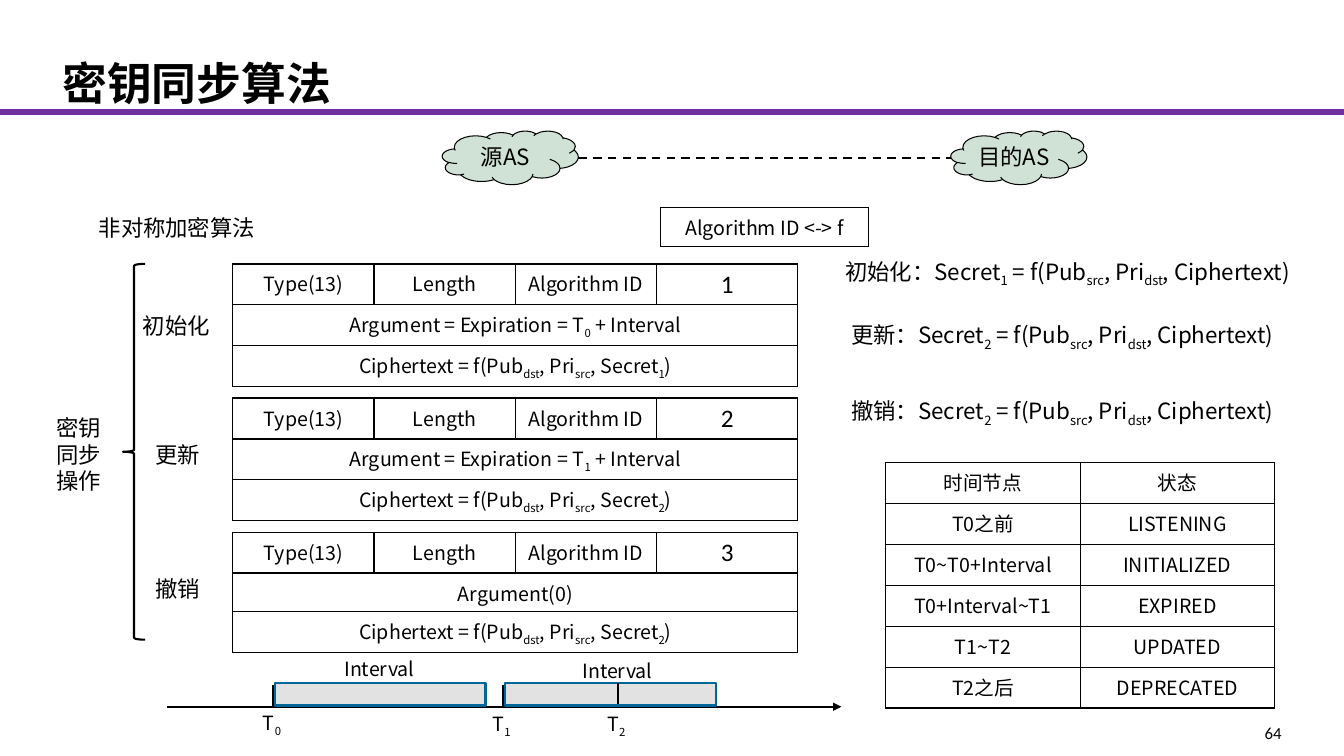
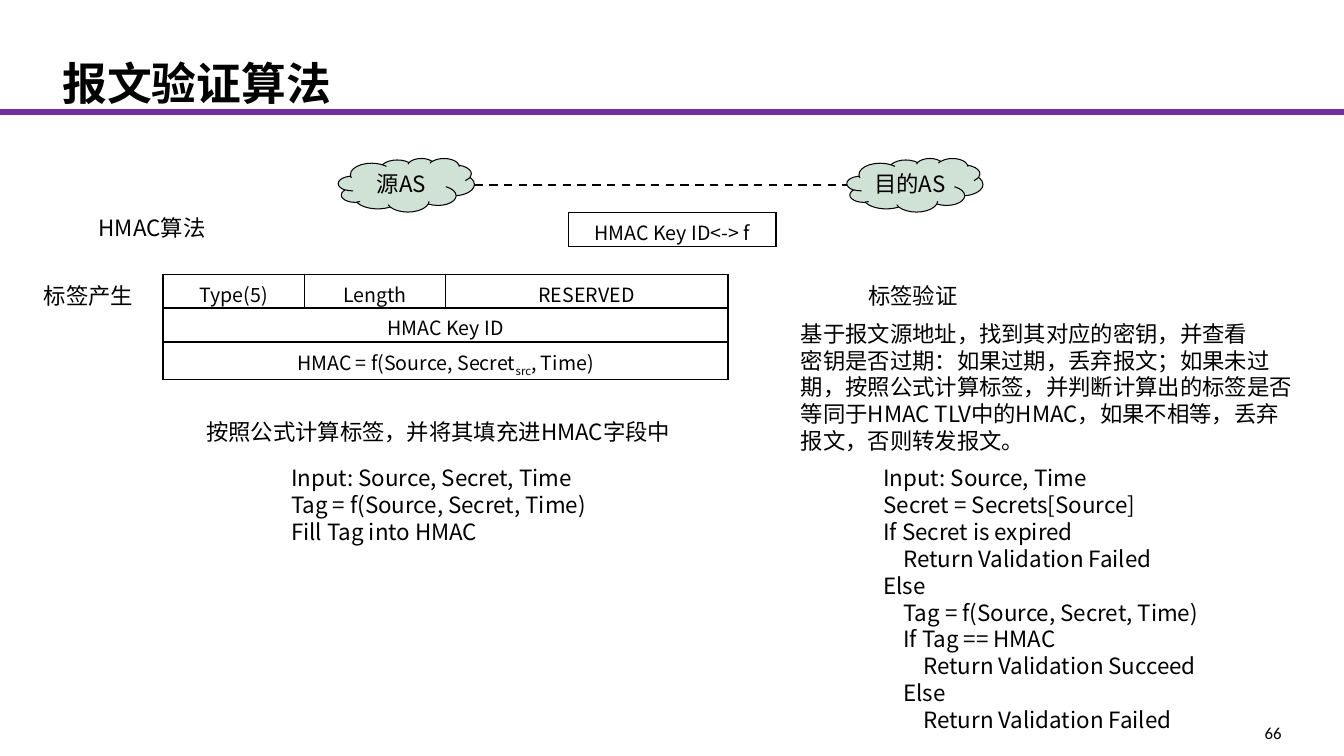
from dataclasses import dataclass

from lxml.etree import SubElement
from pptx import Presentation
from pptx.dml.color import RGBColor
from pptx.enum.dml import MSO_LINE
from pptx.enum.shapes import MSO_CONNECTOR, MSO_SHAPE
from pptx.enum.text import MSO_ANCHOR, PP_ALIGN
from pptx.oxml.ns import qn
from pptx.util import Cm, Pt

COLOURS = {
    "text": "000000",
    "rule": "7030A0",
    "cloud": "D0E2D5",
    "cell": "FFFFFF",
    "interval": "E2E2E2",
    "interval_edge": "006699",
}
BODY_FONT = "Noto Sans CJK SC"
NUMBER_FONT = "Calibri"
LINE_FACTOR = 1.2
SLIDE_WIDTH, SLIDE_HEIGHT = 33.88, 19.05
CLOUD_WIDTH, CLOUD_HEIGHT, CLOUD_STEP = 3.43, 1.35, 12.82
FIELD_WIDTH = 3.56
ROW_HEIGHT = 1.03


@dataclass
class Label:
    left: float
    top: float
    width: float
    text: str
    size: int = 16


@dataclass
class Grid:
    left: float
    top: float
    columns: list[float]
    heights: list[float]
    rows: list[list[str]]


@dataclass
class Stroke:
    start: tuple[float, float]
    end: tuple[float, float]
    width: float = 1.5
    colour: str = "text"
    dashed: bool = False
    arrow: bool = False
    shadow: bool = False


def colour(name: str) -> RGBColor:
    return RGBColor.from_string(COLOURS[name])


def write_paragraph(paragraph, text: str, size: float, font: str = BODY_FONT,
                    bold: bool = False, alignment=PP_ALIGN.LEFT) -> None:
    for index, part in enumerate(text.split("|")):
        if part:
            run = paragraph.add_run()
            run.text = part
            if index % 2:
                run._r.get_or_add_rPr().set("baseline", "-25000")
    paragraph.alignment = alignment
    paragraph.font.size = Pt(size)
    paragraph.font.bold = bold
    paragraph.font.name = font
    paragraph.font.color.rgb = colour("text")
    SubElement(paragraph.font._element, qn("a:ea")).set("typeface", font)


def set_insets(frame, left: float, top: float, right: float, bottom: float) -> None:
    frame.margin_left, frame.margin_top = Cm(left), Cm(top)
    frame.margin_right, frame.margin_bottom = Cm(right), Cm(bottom)


def draw_label(slide, label: Label) -> None:
    lines = label.text.split("\n")
    line_height = Pt(label.size * LINE_FACTOR)
    box = slide.shapes.add_textbox(Cm(label.left), Cm(label.top), Cm(label.width),
                                   line_height * len(lines) + Cm(0.25))
    frame = box.text_frame
    frame.word_wrap = False
    set_insets(frame, 0.25, 0.19, 0.25, 0.06)
    for index, line in enumerate(lines):
        paragraph = frame.add_paragraph() if index else frame.paragraphs[0]
        write_paragraph(paragraph, line, label.size)
        paragraph.line_spacing = line_height


def draw_stroke(slide, stroke: Stroke) -> None:
    connector = slide.shapes.add_connector(
        MSO_CONNECTOR.STRAIGHT, *(Cm(value) for value in stroke.start + stroke.end))
    connector.line.color.rgb = colour(stroke.colour)
    connector.line.width = Pt(stroke.width)
    if stroke.dashed:
        connector.line.dash_style = MSO_LINE.DASH
    if stroke.arrow:
        SubElement(connector.line._get_or_add_ln(), qn("a:tailEnd")).set("type", "triangle")
    effects = SubElement(connector._element.spPr, qn("a:effectLst"))
    if stroke.shadow:
        shadow = SubElement(effects, qn("a:outerShdw"), dist=str(Pt(2)), dir="5400000")
        SubElement(shadow, qn("a:srgbClr")).set("val", COLOURS[stroke.colour])


def draw_shape(slide, kind, left: float, top: float, width: float, height: float,
               fill: str, edge: str = "text", weight: float = 1.5):
    shape = slide.shapes.add_shape(kind, Cm(left), Cm(top), Cm(width), Cm(height))
    shape.shadow.inherit = False
    shape.fill.solid()
    shape.fill.fore_color.rgb = colour(fill)
    shape.line.color.rgb = colour(edge)
    shape.line.width = Pt(weight)
    return shape


def draw_cell(cell, text: str) -> None:
    properties = cell._tc.get_or_add_tcPr()
    for side in ("lnL", "lnR", "lnT", "lnB"):
        border = SubElement(properties, qn(f"a:{side}"), w=str(Pt(1)))
        fill = SubElement(border, qn("a:solidFill"))
        SubElement(fill, qn("a:srgbClr")).set("val", COLOURS["text"])
    cell.fill.solid()
    cell.fill.fore_color.rgb = colour("cell")
    set_insets(cell, 0.25, 0.13, 0.25, 0)
    size, font = (18, NUMBER_FONT) if text.isdigit() else (14, BODY_FONT)
    write_paragraph(cell.text_frame.paragraphs[0], text, size, font,
                    alignment=PP_ALIGN.CENTER)


def draw_grid(slide, grid: Grid) -> None:
    column_count = len(grid.columns)
    table = slide.shapes.add_table(
        len(grid.rows), column_count, Cm(grid.left), Cm(grid.top),
        Cm(sum(grid.columns)), Cm(sum(grid.heights))).table
    table.first_row = table.horz_banding = False
    for column, width in zip(table.columns, grid.columns):
        column.width = Cm(width)
    for row_index, (texts, height) in enumerate(zip(grid.rows, grid.heights)):
        table.rows[row_index].height = Cm(height)
        for column_index in range(column_count):
            text = texts[column_index] if column_index < len(texts) else ""
            draw_cell(table.cell(row_index, column_index), text)
        if len(texts) < column_count:
            table.cell(row_index, 0).merge(table.cell(row_index, column_count - 1))


def draw_route(slide, left: float, top: float) -> None:
    for index, name in enumerate(("源AS", "目的AS")):
        cloud = draw_shape(slide, MSO_SHAPE.CLOUD, left + index * CLOUD_STEP, top,
                           CLOUD_WIDTH, CLOUD_HEIGHT, "cloud", weight=0.75)
        frame = cloud.text_frame
        frame.word_wrap = False
        frame.vertical_anchor = MSO_ANCHOR.MIDDLE
        write_paragraph(frame.paragraphs[0], name, 16, alignment=PP_ALIGN.CENTER)
    middle = top + CLOUD_HEIGHT / 2
    draw_stroke(slide, Stroke((left + CLOUD_WIDTH, middle), (left + CLOUD_STEP, middle),
                              dashed=True))


def add_page(presentation, title: str, number: str):
    slide = presentation.slides.add_slide(presentation.slide_layouts[6])
    draw_stroke(slide, Stroke((SLIDE_WIDTH, 2.79), (0, 2.79), 2.25, "rule", shadow=True))
    title_frame = slide.shapes.add_textbox(Cm(1.57), Cm(0.46), Cm(30.76), Cm(2.31)).text_frame
    title_frame.word_wrap = True
    title_frame.vertical_anchor = MSO_ANCHOR.BOTTOM
    set_insets(title_frame, 0, 0.13, 0, 0.02)
    write_paragraph(title_frame.paragraphs[0], title, 32, bold=True)
    number_frame = slide.shapes.add_textbox(Cm(31.65), Cm(18.21), Cm(0.66), Cm(0.38)).text_frame
    number_frame.word_wrap = False
    set_insets(number_frame, 0, 0, 0, 0)
    write_paragraph(number_frame.paragraphs[0], number, 12, NUMBER_FONT,
                    alignment=PP_ALIGN.RIGHT)
    return slide


def draw_timeline(slide) -> None:
    axis = 17.81
    draw_stroke(slide, Stroke((4.22, axis), (21.21, axis), arrow=True))
    for tick in (6.88, 12.67):
        draw_stroke(slide, Stroke((tick, 17.27), (tick, axis)))
    for left in (6.93, 12.73):
        draw_shape(slide, MSO_SHAPE.RECTANGLE, left, 17.22, 5.31, 0.56,
                   "interval", "interval_edge")
    draw_stroke(slide, Stroke((15.57, 17.22), (15.57, 17.75)))


def build_key_sync(presentation) -> None:
    slide = add_page(presentation, "密钥同步算法", "64")
    draw_route(slide, 11.15, 3.3)
    draw_grid(slide, Grid(16.66, 5.23, [5.23], [0.98], [["Algorithm ID <-> f"]]))
    messages = [
        ("Argument = Expiration = T|0| + Interval", "1", ROW_HEIGHT),
        ("Argument = Expiration = T|1| + Interval", "2", ROW_HEIGHT),
        ("Argument(0)", "2", 0.97),
    ]
    for index, (argument, secret, argument_height) in enumerate(messages):
        draw_grid(slide, Grid(
            5.87, 6.65 + index * 3.38, [FIELD_WIDTH] * 4,
            [ROW_HEIGHT, argument_height, ROW_HEIGHT],
            [["Type(13)", "Length", "Algorithm ID", str(index + 1)],
             [argument],
             [f"Ciphertext = f(Pub|dst|, Pri|src|, Secret|{secret}|)"]]))
    states = [
        ["时间节点", "状态"],
        ["T0之前", "LISTENING"],
        ["T0~T0+Interval", "INITIALIZED"],
        ["T0+Interval~T1", "EXPIRED"],
        ["T1~T2", "UPDATED"],
        ["T2之后", "DEPRECATED"],
    ]
    draw_grid(slide, Grid(22.33, 11.66, [4.9] * 2, [ROW_HEIGHT] * len(states), states))
    draw_shape(slide, MSO_SHAPE.LEFT_BRACE, 3.1, 6.65, 0.56, 9.47, "cell")
    draw_timeline(slide)
    formula = " = f(Pub|src|, Pri|dst|, Ciphertext)"
    for label in (
        Label(6.38, 17.81, 1, "T|0|", 14),
        Label(12.17, 17.83, 1, "T|1|", 14),
        Label(15.06, 17.83, 1, "T|2|", 14),
        Label(8.43, 16.36, 2.31, "Interval", 14),
        Label(14.43, 16.41, 2.31, "Interval", 14),
        Label(3.35, 7.67, 2.24, "初始化"),
        Label(3.66, 10.92, 1.65, "更新"),
        Label(3.66, 14.3, 1.65, "撤销"),
        Label(2.24, 5.21, 4.5, "非对称加密算法"),
        Label(1.17, 10.24, 1.65, "密钥\n同步\n操作"),
        Label(21.06, 6.4, 12.34, "初始化：Secret|1|" + formula),
        Label(21.21, 8, 11.79, "更新：Secret|2|" + formula),
        Label(21.21, 9.91, 11.79, "撤销：Secret|2|" + formula),
    ):
        draw_label(slide, label)


def build_validation(presentation) -> None:
    slide = add_page(presentation, "报文验证算法", "66")
    draw_route(slide, 8.53, 3.99)
    draw_grid(slide, Grid(14.33, 5.36, [5.23], [0.85], [["HMAC Key ID<-> f"]]))
    draw_grid(slide, Grid(
        4.11, 6.91, [FIELD_WIDTH, FIELD_WIDTH, 2 * FIELD_WIDTH], [0.85, 0.86, 0.94],
        [["Type(5)", "Length", "RESERVED"],
         ["HMAC Key ID"],
         ["HMAC = f(Source, Secret|src|, Time)"]]))
    explanation = """基于报文源地址，找到其对应的密钥，并查看
密钥是否过期：如果过期，丢弃报文；如果未过
期，按照公式计算标签，并判断计算出的标签是否
等同于HMAC TLV中的HMAC，如果不相等，丢弃
报文，否则转发报文。"""
    verification = """Input: Source, Time
Secret = Secrets[Source]
If Secret is expired
    Return Validation Failed
Else
    Tag = f(Source, Secret, Time)
    If Tag == HMAC
        Return Validation Succeed
    Else
        Return Validation Failed"""
    generation = """Input: Source, Secret, Time
Tag = f(Source, Secret, Time)
Fill Tag into HMAC"""
    for label in (
        Label(0.86, 6.93, 2.79, "标签产生"),
        Label(21.64, 6.91, 2.79, "标签验证"),
        Label(2.24, 5.21, 3.43, "HMAC算法"),
        Label(4.95, 10.34, 12.55, "按照公式计算标签，并将其填充进HMAC字段中"),
        Label(19.94, 7.87, 13.18, explanation),
        Label(22.02, 11.51, 9.02, verification),
        Label(7.09, 11.51, 8.31, generation),
    ):
        draw_label(slide, label)


def main() -> None:
    presentation = Presentation()
    presentation.slide_width = Cm(SLIDE_WIDTH)
    presentation.slide_height = Cm(SLIDE_HEIGHT)
    build_key_sync(presentation)
    build_validation(presentation)
    presentation.save("out.pptx")


if __name__ == "__main__":
    main()
